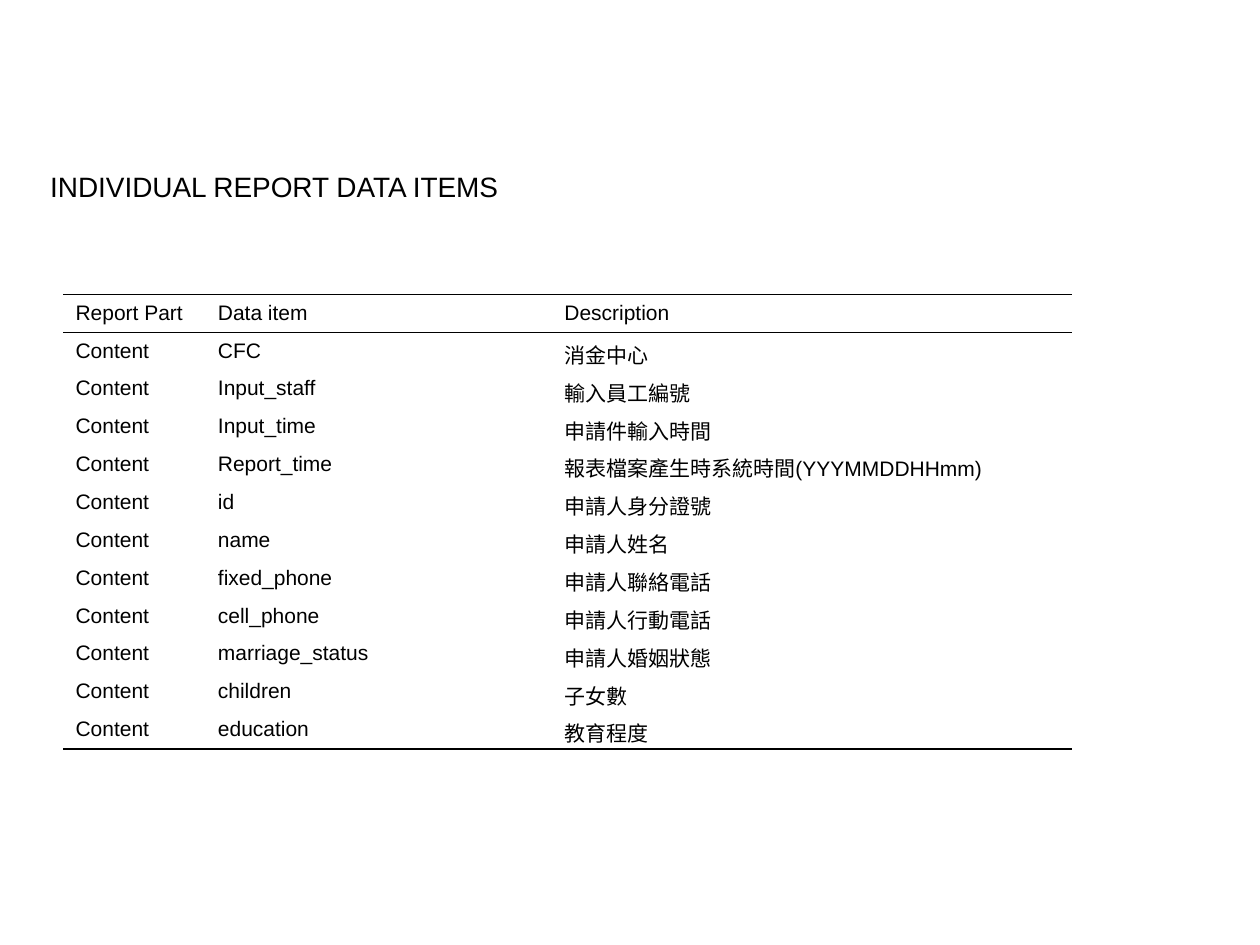
"""Build the slide that lists the data items of the individual report."""
import pptx
import pptx.dml.color
import pptx.oxml
import pptx.oxml.ns
import pptx.util

Inches = pptx.util.Inches
Pt = pptx.util.Pt

TITLE = "INDIVIDUAL REPORT DATA ITEMS"
HEADER = ("Report Part", "Data item", "Description")
PART = "Content"
ITEMS = [
    ("CFC", "消金中心"),
    ("Input_staff", "輸入員工編號"),
    ("Input_time", "申請件輸入時間"),
    ("Report_time", "報表檔案產生時系統時間(YYYMMDDHHmm)"),
    ("id", "申請人身分證號"),
    ("name", "申請人姓名"),
    ("fixed_phone", "申請人聯絡電話"),
    ("cell_phone", "申請人行動電話"),
    ("marriage_status", "申請人婚姻狀態"),
    ("children", "子女數"),
    ("education", "教育程度"),
]
THEME = {
    "font": "Arial",
    "ink": "000000",
    "title": 16,
    "body": 12,
    "outer_rule": 0.75,
    "header_rule": 0.45,
}
COLUMN_WIDTHS = (1.13, 2.75, 4.13)
ROW_HEIGHT = 0.3


def write(tf, text, size=THEME["body"], color=THEME["ink"]):
    tf.word_wrap = True
    p = tf.paragraphs[0]
    r = p.add_run()
    r.text = text
    r.font.name = THEME["font"]
    r.font.size = Pt(size)
    r.font.color.rgb = pptx.dml.color.RGBColor.from_string(color)


def set_borders(cell, top=0, bottom=0):
    tc_pr = cell._tc.get_or_add_tcPr()
    namespace = pptx.oxml.ns.nsdecls("a")
    for side, width in (("L", 0), ("R", 0), ("T", top), ("B", bottom)):
        fill = "<a:noFill/>"
        if width:
            fill = f'<a:solidFill><a:srgbClr val="{THEME["ink"]}"/></a:solidFill>'
        tc_pr.append(pptx.oxml.parse_xml(
            f'<a:ln{side} {namespace} w="{int(Pt(width))}">{fill}</a:ln{side}>'))


def add_title(s):
    sp = s.shapes.add_textbox(Inches(0.3), Inches(1.3), Inches(9.29), Inches(0.37))
    write(sp.text_frame, TITLE, size=THEME["title"])


def add_items_table(s):
    rows = [HEADER] + [(PART, *item) for item in ITEMS]
    sp = s.shapes.add_table(
        len(rows), len(HEADER), Inches(0.5), Inches(2.34),
        Inches(sum(COLUMN_WIDTHS)), Inches(ROW_HEIGHT * len(rows)))
    table = sp.table
    table.first_row = True
    table.horz_banding = False
    for column, width in zip(table.columns, COLUMN_WIDTHS):
        column.width = Inches(width)
    outer, inner = THEME["outer_rule"], THEME["header_rule"]
    top_rules = {0: outer, 1: inner}
    bottom_rules = {0: inner, len(rows) - 1: outer}
    for i, row in enumerate(rows):
        table.rows[i].height = Inches(ROW_HEIGHT)
        for j, text in enumerate(row):
            cell = table.cell(i, j)
            write(cell.text_frame, text)
            cell.text_frame.paragraphs[0].runs[0].font.bold = False
            set_borders(cell, top=top_rules.get(i, 0), bottom=bottom_rules.get(i, 0))
            cell.fill.background()


def main():
    prs = pptx.Presentation()
    prs.slide_width, prs.slide_height = Inches(10), Inches(7.5)
    s = prs.slides.add_slide(prs.slide_layouts[6])
    add_title(s)
    add_items_table(s)
    prs.save("out.pptx")


if __name__ == "__main__":
    main()
